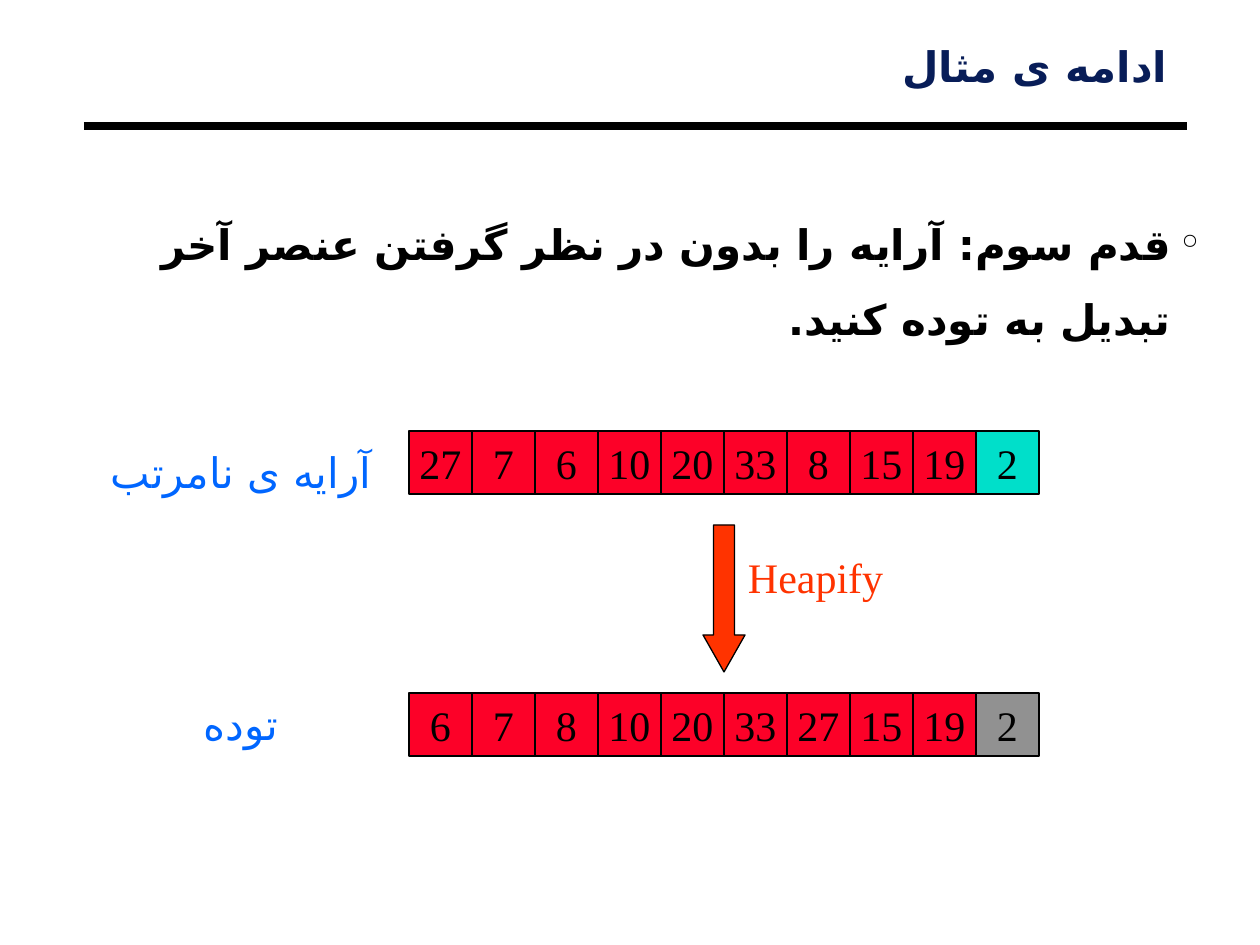
from lxml.etree import SubElement
from pptx import Presentation
from pptx.dml.color import RGBColor
from pptx.enum.shapes import MSO_CONNECTOR, MSO_SHAPE
from pptx.enum.text import MSO_ANCHOR, PP_ALIGN as Align
from pptx.oxml.ns import qn
from pptx.util import Pt

PX = 914400 / 126
SERIF = "Times New Roman"
PERSIAN_FONT = "DejaVu Sans"
BLACK, RED, ORANGE, BLUE = "000000", "FC0128", "FF3300", "0066FF"
CELL = 63


def px(length):
    return round(length * PX)


def color(value):
    return RGBColor.from_string(value)


def write(shape, text, font, text_color, align, bold=False, rtl=False,
          insets=(13, 6), bullet=None):
    """Fill a shape with one paragraph and return that paragraph."""
    frame = shape.text_frame
    frame.margin_left = frame.margin_right = px(insets[0])
    frame.margin_top = frame.margin_bottom = px(insets[1])
    paragraph = frame.paragraphs[0]
    paragraph.alignment = align
    properties = paragraph._p.get_or_add_pPr()
    if bullet:
        indent = px(28)
        properties.set("marL", str(indent))
        properties.set("indent", str(-indent))
        bullet_color = SubElement(properties, qn("a:buClr"))
        SubElement(bullet_color, qn("a:srgbClr"), val=text_color)
        SubElement(properties, qn("a:buChar"), char=bullet)
    run = paragraph.add_run()
    run.text = text
    run.font.size = Pt(24)
    run.font.bold = bold
    run.font.color.rgb = color(text_color)
    run.font.name = font
    if rtl:
        properties.set("rtl", "1")
        SubElement(run._r.get_or_add_rPr(), qn("a:cs"), typeface=PERSIAN_FONT)
    return paragraph


def add_text(slide, box, *args, **options):
    shape = slide.shapes.add_textbox(*map(px, box))
    shape.text_frame.word_wrap = True
    return write(shape, *args, **options)


def add_block(slide, kind, box, fill):
    shape = slide.shapes.add_shape(kind, *map(px, box))
    shape.shadow.inherit = False
    shape.fill.solid()
    shape.fill.fore_color.rgb = color(fill)
    shape.line.color.rgb = color(BLACK)
    shape.line.width = Pt(0.75)
    return shape


def add_heading(slide, left, top, width):
    # Title over a thick rule
    title = add_text(slide, (left, top, width - 11, 53), "ادامه ی مثال", "Roboto",
                     "081D58", Align.RIGHT, bold=True, rtl=True, insets=(9, 4))
    title.line_spacing = 0.87
    rule_y = px(top + 83)
    rule = slide.shapes.add_connector(
        MSO_CONNECTOR.STRAIGHT, px(left), rule_y, px(left + width), rule_y)
    rule.line.color.rgb = color(BLACK)
    rule.line.width = Pt(4.5)
    SubElement(rule._element.spPr, qn("a:effectLst"))


def add_step(slide, box):
    step = add_text(
        slide, box,
        "قدم سوم: آرایه را بدون در نظر گرفتن عنصر آخر تبدیل به توده کنید.",
        "Calibri", BLACK, Align.RIGHT, bold=True, rtl=True, insets=(9, 4), bullet="°")
    step.line_spacing = 1.5


def add_array(slide, left, top, values, last_fill):
    # The last element stands apart by its fill
    for index, value in enumerate(values):
        fill = last_fill if index == len(values) - 1 else RED
        cell = add_block(slide, MSO_SHAPE.RECTANGLE,
                         (left + index * CELL, top, CELL, CELL), fill)
        cell.text_frame.word_wrap = False
        cell.text_frame.vertical_anchor = MSO_ANCHOR.MIDDLE
        write(cell, str(value), SERIF, BLACK, Align.CENTER)


def add_heapify(slide, left, top):
    # Arrow from the array to the heap, with its caption
    arrow = add_block(slide, MSO_SHAPE.DOWN_ARROW, (left, top, 42, 147), ORANGE)
    arrow.adjustments[0] = 0.5
    arrow.adjustments[1] = 0.88
    add_text(slide, (left + 32, top + 21, 179, CELL), "Heapify", SERIF, ORANGE,
             Align.LEFT)


def add_diagram(slide, left, top):
    array_left = left + 315
    heap_top = top + 262
    for label, label_top in (("آرایه ی نامرتب", top + 10), ("توده", heap_top)):
        add_text(slide, (left, label_top, 294, CELL), label, SERIF, BLUE,
                 Align.CENTER, rtl=True)
    add_array(slide, array_left, top, (27, 7, 6, 10, 20, 33, 8, 15, 19, 2), "00DFCA")
    add_heapify(slide, array_left + 5 * CELL - 21, top + 94)
    add_array(slide, array_left, heap_top, (6, 7, 8, 10, 20, 33, 27, 15, 19, 2), "919191")


def main():
    presentation = Presentation()
    presentation.slide_width = px(1260)
    presentation.slide_height = px(945)
    slide = presentation.slides.add_slide(presentation.slide_layouts[6])
    add_heading(slide, 84, 43, 1103)
    add_step(slide, (53, 189, 1155, 159))
    add_diagram(slide, 94, 431)
    presentation.save("out.pptx")


if __name__ == "__main__":
    main()
